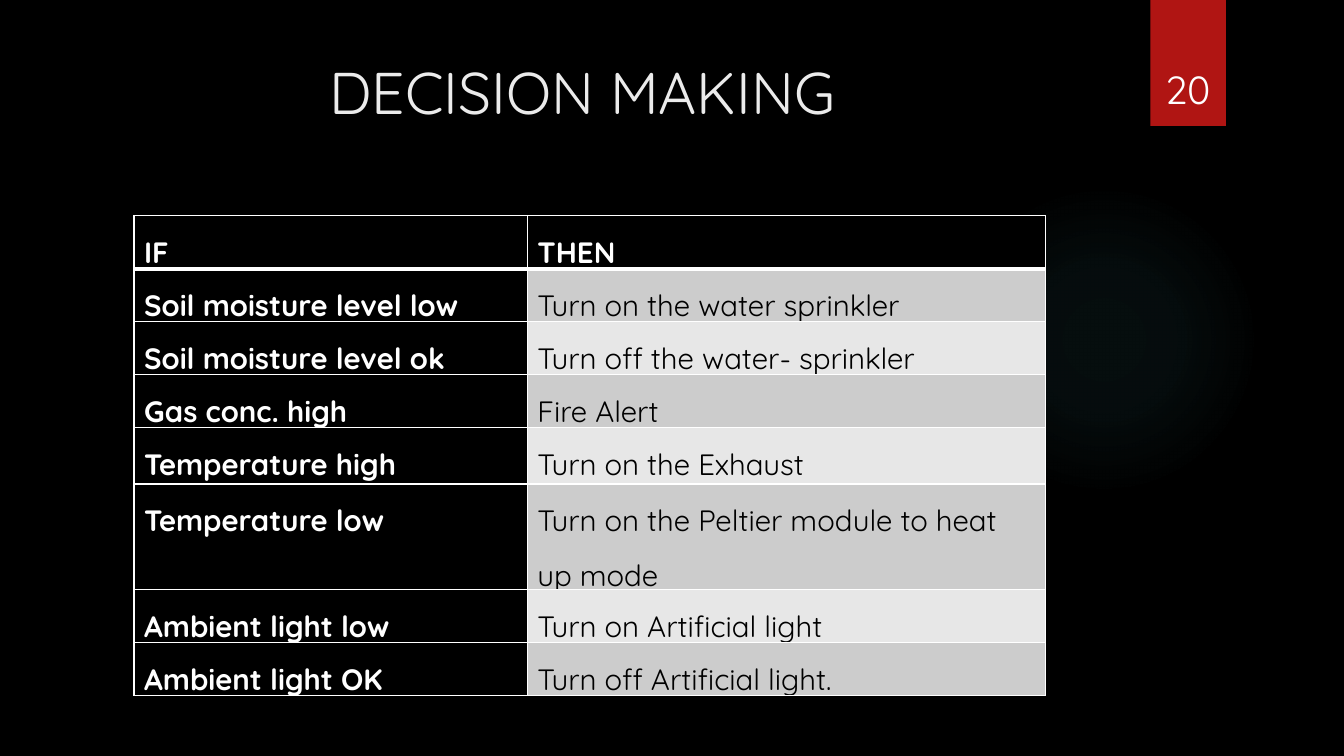
from lxml.etree import SubElement
from pptx import Presentation
from pptx.dml.color import RGBColor
from pptx.enum.shapes import MSO_SHAPE
from pptx.enum.text import MSO_ANCHOR, PP_ALIGN
from pptx.oxml import parse_xml
from pptx.oxml.ns import nsdecls, qn
from pptx.util import Inches, Pt


def color(hex_code):
    return RGBColor.from_string(hex_code)


def add_run(paragraph, text, size, hex_code, bold=False):
    run = paragraph.add_run()
    run.text = text
    run.font.name = "Quicksand"
    run.font.size = Pt(size)
    run.font.bold = bold
    run.font.color.rgb = color(hex_code)


prs = Presentation()
prs.slide_width, prs.slide_height = Inches(13.33), Inches(7.5)
slide = prs.slides.add_slide(prs.slide_layouts[6])
slide.background.fill.solid()
slide.background.fill.fore_color.rgb = color("000000")

# Faint teal glow, fading outwards
glow = slide.shapes.add_shape(
    MSO_SHAPE.OVAL, Inches(9.41), Inches(1.83), Inches(3.08), Inches(3.08))
glow.shadow.inherit = False
glow.line.fill.background()
stops = "".join(
    f'<a:gs pos="{position * 1000}"><a:srgbClr val="50B9C1">'
    f'<a:alpha val="{alpha * 1000}"/></a:srgbClr></a:gs>'
    for position, alpha in [(0, 7), (36, 6), (69, 0)])
glow.element.spPr.find(qn("a:prstGeom")).addnext(parse_xml(
    f'<a:gradFill {nsdecls("a")} rotWithShape="1"><a:gsLst>{stops}</a:gsLst>'
    '<a:path path="circle"><a:fillToRect l="50000" t="50000" r="50000" b="50000"/>'
    '</a:path></a:gradFill>'))

# Red page tab
page_tab = slide.shapes.add_shape(
    MSO_SHAPE.RECTANGLE, Inches(11.41), 0, Inches(0.75), Inches(1.25))
page_tab.shadow.inherit = False
page_tab.fill.solid()
page_tab.fill.fore_color.rgb = color("B01513")
page_tab.line.fill.background()

# Title and page number
for text, left, top, width, height, size, hex_code, anchor in [
    ("DECISION MAKING ", 0.71, 0.5, 10.29, 1.53, 42, "EBEBEB", MSO_ANCHOR.TOP),
    ("20", 11.32, 0.32, 0.92, 0.84, 28, "FFFFFF", MSO_ANCHOR.BOTTOM),
]:
    heading = slide.shapes.add_textbox(
        Inches(left), Inches(top), Inches(width), Inches(height)).text_frame
    heading.word_wrap = True
    heading.vertical_anchor = anchor
    heading.paragraphs[0].alignment = PP_ALIGN.CENTER
    add_run(heading.paragraphs[0], text, size, hex_code)

# Decision table: condition, action, row height
rules = [
    ("IF", "THEN", 0.46),
    ("Soil moisture level low", "Turn on the water sprinkler", 0.5),
    ("Soil moisture level ok", "Turn off the water- sprinkler", 0.5),
    ("Gas conc. high", "Fire Alert", 0.46),
    ("Temperature high", "Turn on the Exhaust", 0.56),
    ("Temperature low", "Turn on the Peltier module to heat up mode", 0.98),
    ("Ambient light low", "Turn on Artificial light", 0.48),
    ("Ambient light OK", "Turn off Artificial light.", 0.46),
]
decisions = slide.shapes.add_table(
    len(rules), 2, Inches(1.33), Inches(2.14), Inches(9.04), Inches(4.44)).table
decisions.columns[0].width = Inches(3.9)
decisions.columns[1].width = Inches(5.14)

for row, (condition, action, height) in enumerate(rules):
    decisions.rows[row].height = Inches(height)
    for column, text in enumerate([condition, action]):
        cell = decisions.cell(row, column)
        cell.margin_left = cell.margin_right = Inches(0.1)
        cell.margin_top = cell.margin_bottom = 0
        dark = row == 0 or column == 0
        paragraph = cell.text_frame.paragraphs[0]
        paragraph.line_spacing = 1.5
        paragraph.space_after = Pt(12)
        add_run(paragraph, text, 21, "FFFFFF" if dark else "000000", dark)

        # White borders, heavier between the header and the body
        properties = cell._tc.get_or_add_tcPr()
        for side in ("lnL", "lnR", "lnT", "lnB"):
            heavy = (row, side) in [(0, "lnB"), (1, "lnT")]
            border = SubElement(properties, qn(f"a:{side}"), w=str(Pt(3 if heavy else 1)))
            SubElement(SubElement(border, qn("a:solidFill")), qn("a:srgbClr"), val="FFFFFF")
        cell.fill.solid()
        band = "CCCCCC" if row % 2 else "E7E7E7"
        cell.fill.fore_color.rgb = color("000000" if dark else band)

prs.save("out.pptx")
